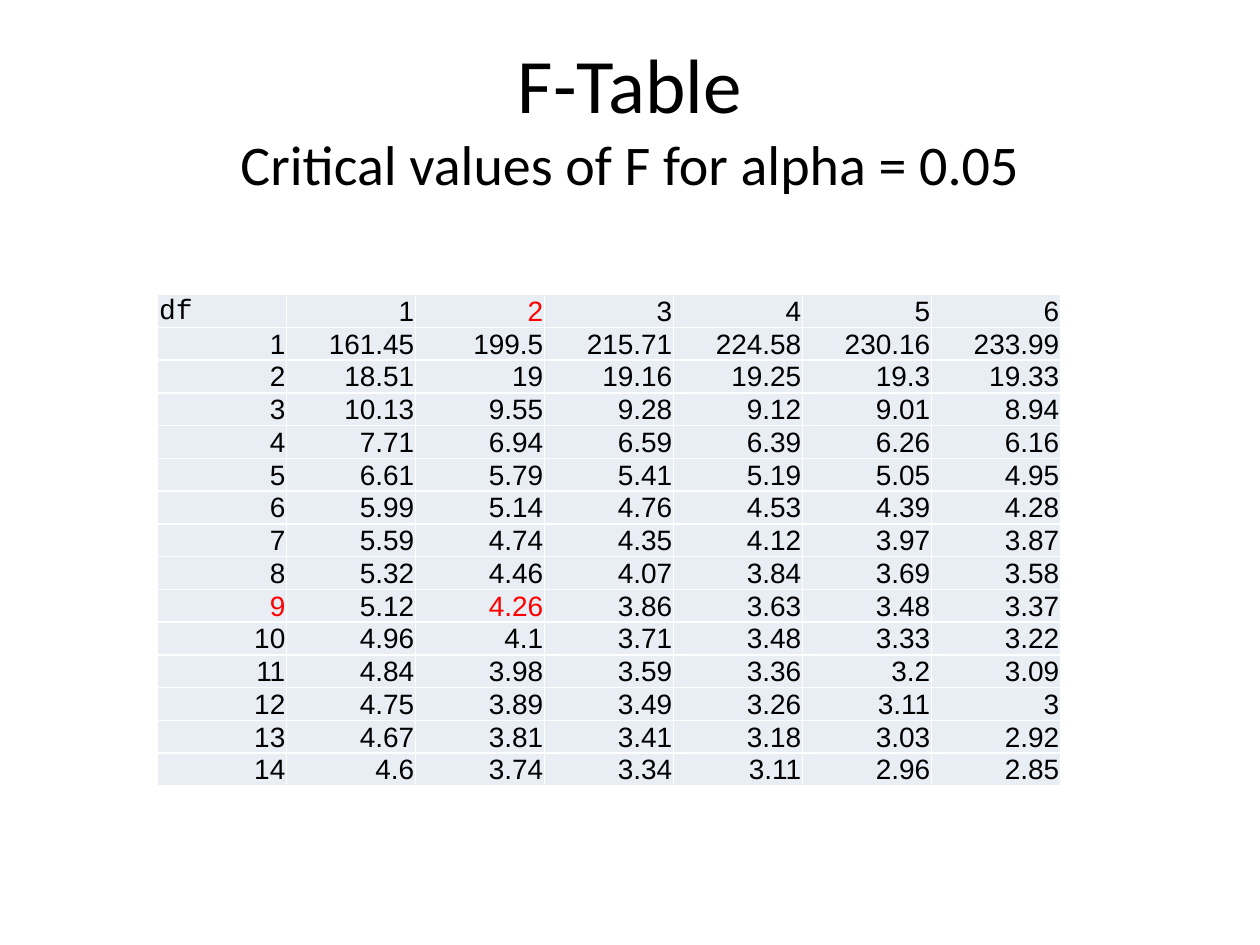
from lxml import etree
from pptx import Presentation
from pptx.dml.color import RGBColor
from pptx.enum.text import MSO_ANCHOR, PP_ALIGN
from pptx.oxml.ns import qn
from pptx.util import Cm, Pt

BLACK = RGBColor(0x00, 0x00, 0x00)
RED = RGBColor(0xFF, 0x00, 0x00)
WHITE = RGBColor(0xFF, 0xFF, 0xFF)
PALE_BLUE = RGBColor(0xE9, 0xED, 0xF4)
LEFT, CENTER, RIGHT = PP_ALIGN.LEFT, PP_ALIGN.CENTER, PP_ALIGN.RIGHT
MIDDLE, BOTTOM = MSO_ANCHOR.MIDDLE, MSO_ANCHOR.BOTTOM
TITLE_ONLY = 5

F_VALUES = """
df 1 2 3 4 5 6
1 161.45 199.5 215.71 224.58 230.16 233.99
2 18.51 19 19.16 19.25 19.3 19.33
3 10.13 9.55 9.28 9.12 9.01 8.94
4 7.71 6.94 6.59 6.39 6.26 6.16
5 6.61 5.79 5.41 5.19 5.05 4.95
6 5.99 5.14 4.76 4.53 4.39 4.28
7 5.59 4.74 4.35 4.12 3.97 3.87
8 5.32 4.46 4.07 3.84 3.69 3.58
9 5.12 4.26 3.86 3.63 3.48 3.37
10 4.96 4.1 3.71 3.48 3.33 3.22
11 4.84 3.98 3.59 3.36 3.2 3.09
12 4.75 3.89 3.49 3.26 3.11 3
13 4.67 3.81 3.41 3.18 3.03 2.92
14 4.6 3.74 3.34 3.11 2.96 2.85
"""
HIGHLIGHTS = {(0, 2), (9, 0), (9, 2)}  # row, column
BOTTOM_COLUMN = 4


class SlideBuilder:
    def __init__(self, slide):
        self.slide = slide
        self.title_font = "Calibri"
        self.cell_font = "Arial"
        self.label_font = "Courier New"
        self.cell_size = 16

    def span(self, para, text, font, size, color=BLACK):
        run = para.add_run()
        run.text = text
        run.font.name = font
        run.font.size = Pt(size)
        run.font.bold = False
        run.font.color.rgb = color

    def title(self, heading, subheading):
        box = self.slide.shapes.title
        box.left, box.top = Cm(1.27), Cm(0.76)
        box.width, box.height = Cm(22.86), Cm(3.18)
        box.text_frame.vertical_anchor = MIDDLE
        para = box.text_frame.paragraphs[0]
        para.alignment = CENTER
        self.span(para, heading, self.title_font, 44)
        para.add_line_break()
        self.span(para, subheading, self.title_font, 32)

    def borders(self, cell, color=WHITE):
        properties = cell._tc.get_or_add_tcPr()
        for side in ("lnL", "lnR", "lnT", "lnB"):
            line = etree.SubElement(properties, qn(f"a:{side}"), w=str(Pt(1)))
            fill = etree.SubElement(line, qn("a:solidFill"))
            etree.SubElement(fill, qn("a:srgbClr"), val=str(color))

    def cell(self, cell, text, font, color, alignment, anchor):
        self.borders(cell)
        cell.fill.solid()
        cell.fill.fore_color.rgb = PALE_BLUE
        cell.margin_left = cell.margin_right = cell.margin_top = Cm(0.03)
        cell.margin_bottom = 0
        cell.vertical_anchor = anchor
        para = cell.text_frame.paragraphs[0]
        para.alignment = alignment
        self.span(para, text, font, self.cell_size, color)

    def table(self, rows):
        last_row = len(rows) - 1
        frame = self.slide.shapes.add_table(
            len(rows), len(rows[0]), Cm(3.18), Cm(5.93), Cm(18.2), Cm(10.57))
        table = frame.table
        table.first_row = table.horz_banding = False
        for column in table.columns:
            column.width = Cm(2.6)
        for row in table.rows:
            row.height = Cm(0.66)
        frame.height = Cm(10.57)
        for r, values in enumerate(rows):
            for c, value in enumerate(values):
                is_label = (r, c) == (0, 0)
                at_bottom = r == last_row or (c == BOTTOM_COLUMN and r > 0)
                self.cell(
                    table.cell(r, c), value,
                    font=self.label_font if is_label else self.cell_font,
                    color=RED if (r, c) in HIGHLIGHTS else BLACK,
                    alignment=LEFT if is_label else RIGHT,
                    anchor=BOTTOM if at_bottom else MIDDLE)


def main():
    deck = Presentation()
    deck.slide_width, deck.slide_height = Cm(25.4), Cm(19.05)
    builder = SlideBuilder(deck.slides.add_slide(deck.slide_layouts[TITLE_ONLY]))
    builder.title("F-Table", "Critical values of F for alpha = 0.05")
    builder.table([line.split() for line in F_VALUES.strip().splitlines()])
    deck.save("out.pptx")


if __name__ == "__main__":
    main()
